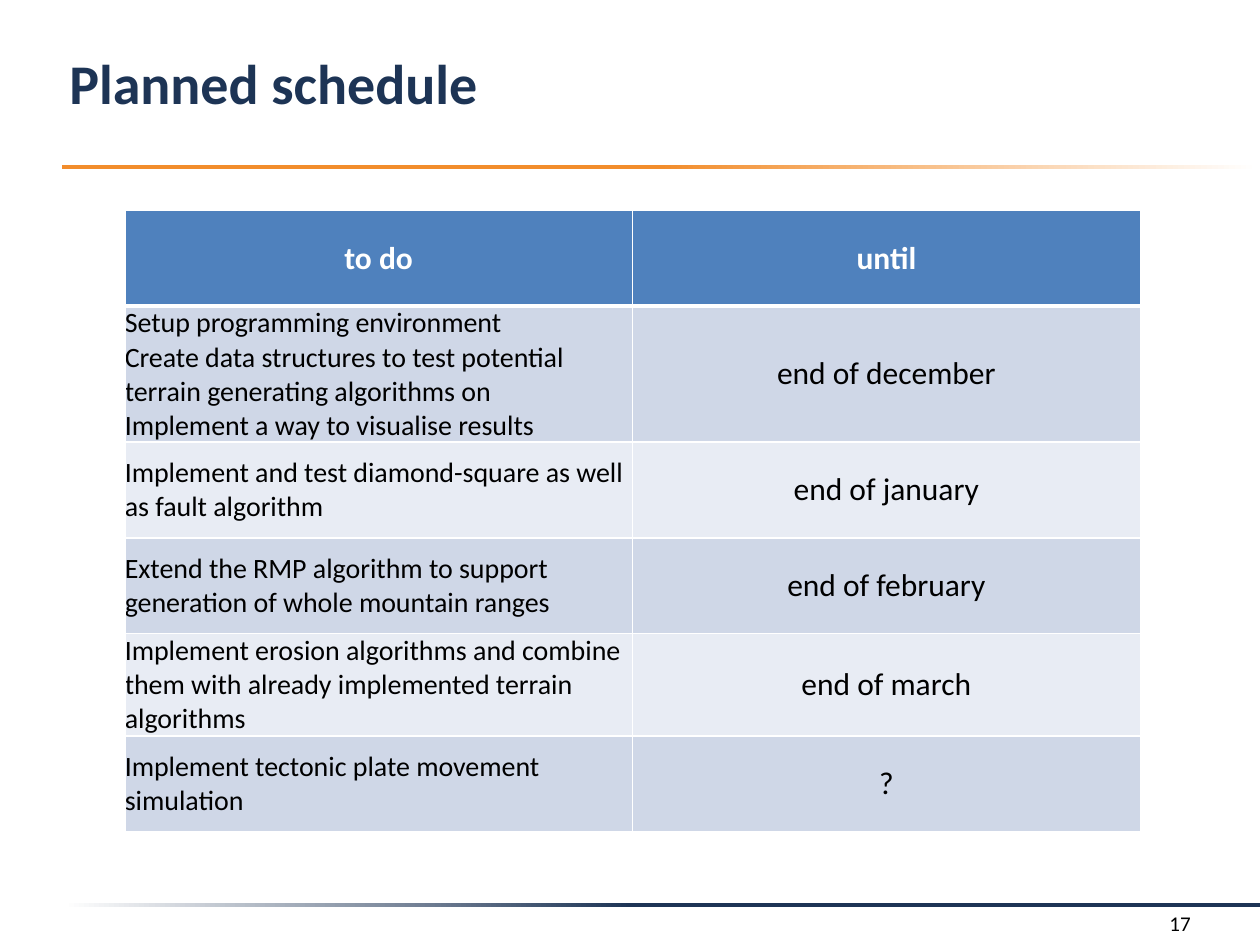
from lxml import etree
from pptx import Presentation
from pptx.dml.color import RGBColor
from pptx.enum import shapes, text
from pptx.oxml import ns
from pptx.util import Inches, Pt

TITLE = "Planned schedule"
PAGE_NUMBER = "17"
HEADINGS = ("to do", "until")
SCHEDULE = [
    ("Setup programming environment\n"
     "Create data structures to test potential terrain generating algorithms on\n"
     "Implement a way to visualise results", "end of december"),
    ("Implement and test diamond-square as well as fault algorithm", "end of january"),
    ("Extend the RMP algorithm to support generation of whole mountain ranges", "end of february"),
    ("Implement erosion algorithms and combine them with already implemented terrain algorithms",
     "end of march"),
    ("Implement tectonic plate movement simulation", "?"),
]
ROW_HEIGHTS = (0.76, 1.08, 0.76, 0.76, 0.81, 0.76)
COLUMN_WIDTH = 4.03

FONT = "Calibri"
NAVY = RGBColor(0x1D, 0x34, 0x55)
ORANGE = RGBColor(0xF2, 0x8D, 0x2C)
WHITE = RGBColor(0xFF, 0xFF, 0xFF)
BLACK = RGBColor(0, 0, 0)
HEADER_BLUE = RGBColor(0x4F, 0x81, 0xBD)
BANDS = (RGBColor(0xCF, 0xD7, 0xE7), RGBColor(0xE8, 0xEC, 0xF4))

RULES = [
    ((0.49, 1.31, 9.49, 0.03), ((0, ORANGE), (50, ORANGE), (100, WHITE))),
    ((0.01, 7.17, 10, 0.03), ((0, WHITE), (5, WHITE), (50, NAVY), (100, NAVY))),
]


def add_color(parent, color):
    etree.SubElement(parent, ns.qn("a:srgbClr"), val=str(color))


def add_rule(slide, box, stops):
    rule = slide.shapes.add_shape(shapes.MSO_SHAPE.RECTANGLE, *map(Inches, box))
    rule.shadow.inherit = False
    rule.line.fill.background()
    rule.fill.gradient()
    rule.fill.gradient_angle = 0
    stop_list = rule._element.spPr.find(".//" + ns.qn("a:gsLst"))
    for old_stop in list(stop_list):
        stop_list.remove(old_stop)
    for percent, color in stops:
        add_color(etree.SubElement(stop_list, ns.qn("a:gs"), pos=str(percent * 1000)), color)


def write(frame, content, size, color, bold=False, align=text.PP_ALIGN.LEFT):
    paragraph = frame.paragraphs[0]
    paragraph.text = content
    paragraph.alignment = align
    font = paragraph.font
    font.name, font.size, font.bold = FONT, Pt(size), bold
    font.color.rgb = color


def add_label(slide, box, content, size, color, wrap, **style):
    frame = slide.shapes.add_textbox(*map(Inches, box)).text_frame
    frame.word_wrap = wrap
    frame.vertical_anchor = text.MSO_ANCHOR.MIDDLE
    frame.margin_left = frame.margin_right = Inches(0.05)
    frame.margin_top = frame.margin_bottom = Inches(0.05)
    write(frame, content, size, color, **style)
    return frame


def set_borders(cell, widths):
    properties = cell._tc.get_or_add_tcPr()
    for side, width in widths.items():
        border = etree.SubElement(properties, ns.qn("a:ln" + side), w=str(Pt(width)))
        add_color(etree.SubElement(border, ns.qn("a:solidFill")), WHITE)


def add_schedule(slide):
    rows = [HEADINGS] + SCHEDULE
    table = slide.shapes.add_table(
        len(rows), len(HEADINGS), Inches(0.99), Inches(1.67),
        Inches(COLUMN_WIDTH * len(HEADINGS)), Inches(sum(ROW_HEIGHTS))).table
    for column in table.columns:
        column.width = Inches(COLUMN_WIDTH)
    for r, (entries, height) in enumerate(zip(rows, ROW_HEIGHTS)):
        table.rows[r].height = Inches(height)
        header = r == 0
        for c, entry in enumerate(entries):
            cell = table.cell(r, c)
            cell.margin_left = cell.margin_right = cell.margin_top = cell.margin_bottom = 0
            cell.vertical_anchor = text.MSO_ANCHOR.MIDDLE
            set_borders(cell, {"L": 1, "R": 1, "T": 3 if r == 1 else 1, "B": 3 if header else 1})
            cell.fill.solid()
            cell.fill.fore_color.rgb = HEADER_BLUE if header else BANDS[(r - 1) % 2]
            task = c == 0 and not header
            write(cell.text_frame, entry, 16 if task else 18, WHITE if header else BLACK,
                  bold=header, align=text.PP_ALIGN.LEFT if task else text.PP_ALIGN.CENTER)


def main():
    deck = Presentation()
    deck.slide_width, deck.slide_height = Inches(10), Inches(7.5)
    slide = deck.slides.add_slide(deck.slide_layouts[6])
    for box, stops in RULES:
        add_rule(slide, box, stops)
    add_label(slide, (0.5, 0.03, 9, 1.25), TITLE, 32, NAVY, True, bold=True)
    number = add_label(slide, (9.21, 7.18, 0.29, 0.29), PAGE_NUMBER, 12, BLACK, False,
                       align=text.PP_ALIGN.RIGHT)
    number.auto_size = text.MSO_AUTO_SIZE.SHAPE_TO_FIT_TEXT
    add_schedule(slide)
    deck.save("out.pptx")


if __name__ == "__main__":
    main()
